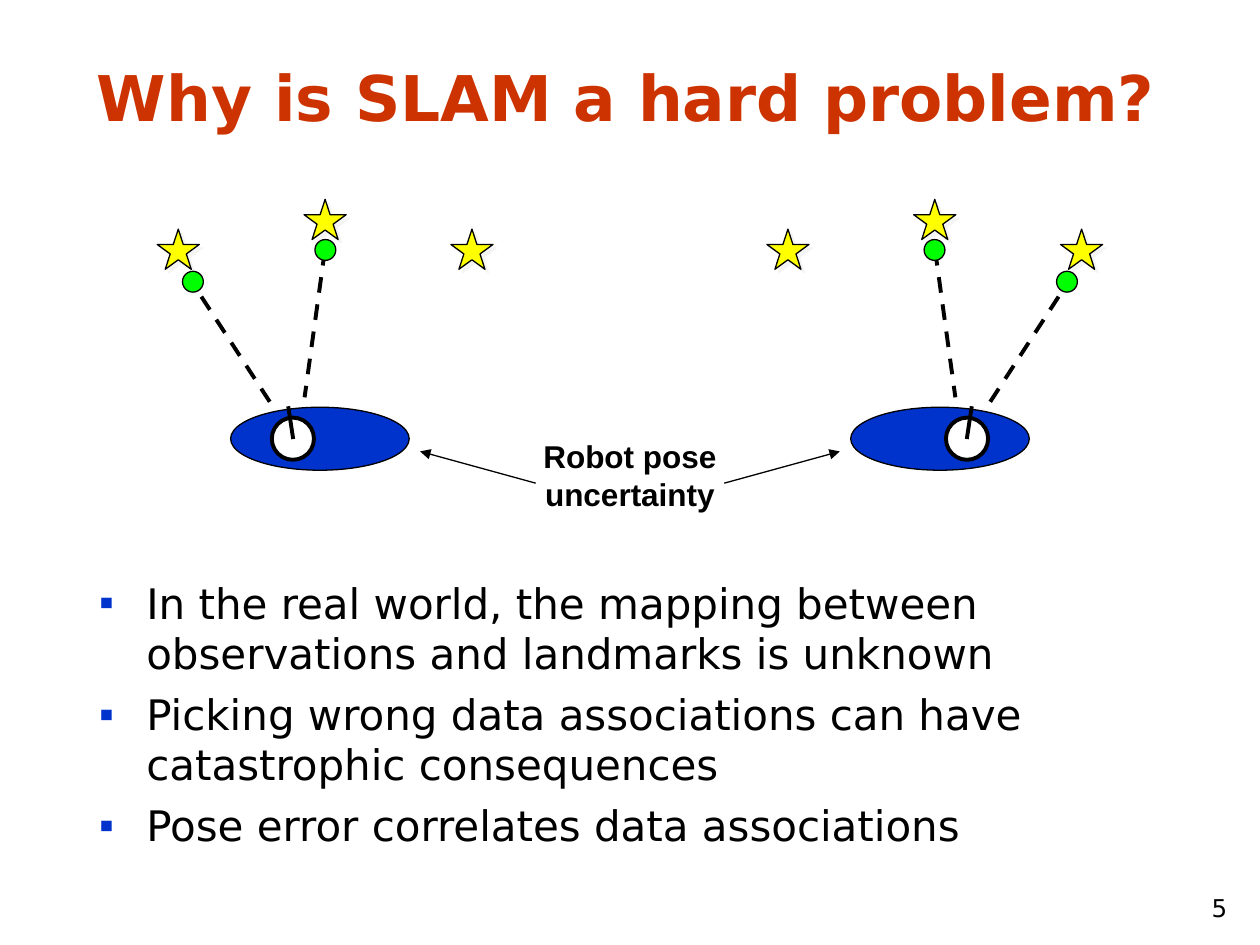
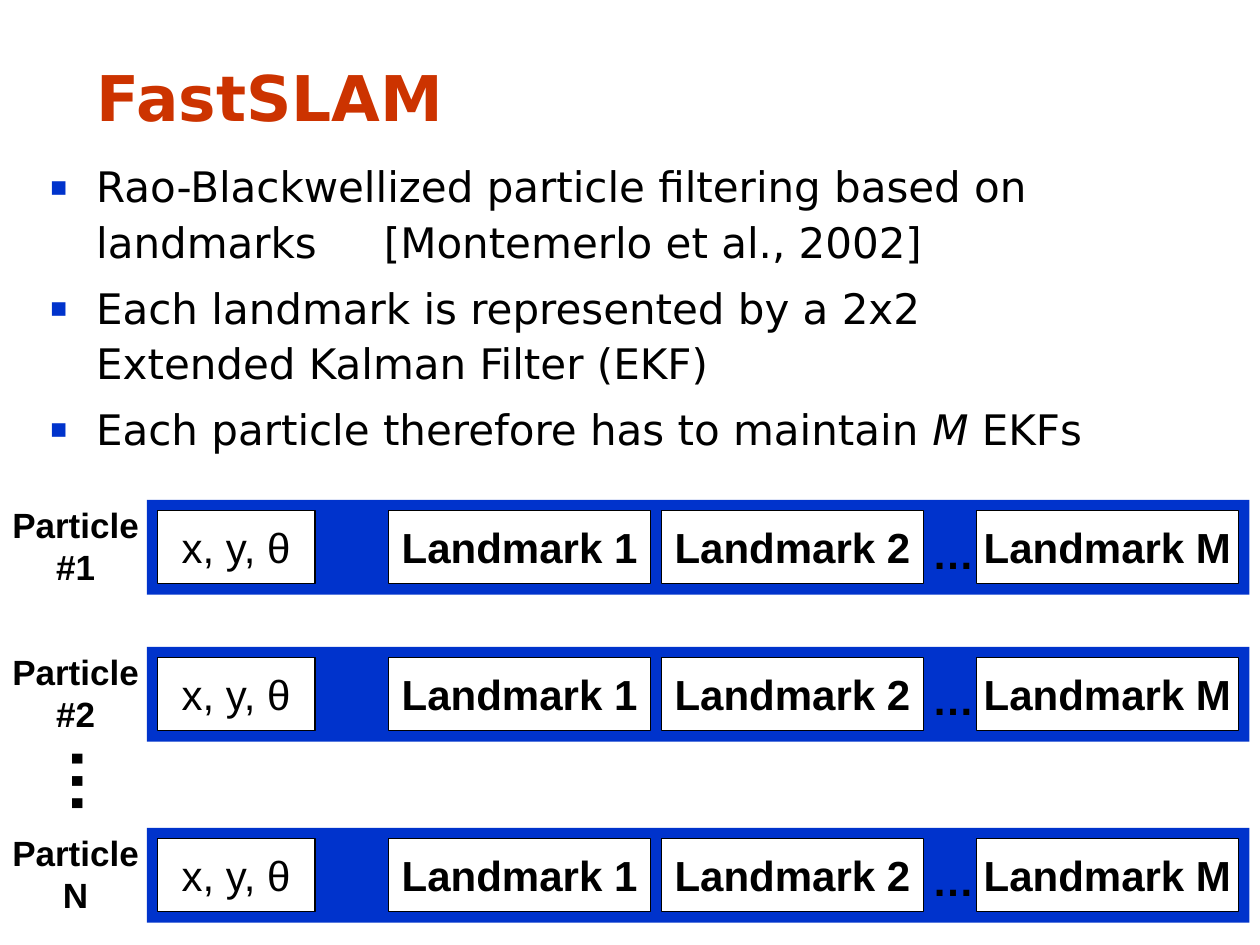
from lxml import etree
from pptx import Presentation
from pptx import util as u
from pptx.dml import color
from pptx.enum import dml, shapes, text
from pptx.oxml import ns

RED, BLUE, YELLOW, GREEN = "CC3300", "0033CC", "FFFF00", "00FF00"
BLACK, WHITE, SHADOW = "000000", "FFFFFF", "EAEAEA"
SANS, ARIAL = "DejaVu Sans", "Arial"
SLIDE_WIDTH, SLIDE_HEIGHT = 25.4, 19.05
LEFT, CENTER, RIGHT = text.PP_ALIGN.LEFT, text.PP_ALIGN.CENTER, text.PP_ALIGN.RIGHT
TOP, MIDDLE, BOTTOM = (text.MSO_ANCHOR.TOP, text.MSO_ANCHOR.MIDDLE,
                       text.MSO_ANCHOR.BOTTOM)
OVAL = shapes.MSO_SHAPE.OVAL
RECTANGLE = shapes.MSO_SHAPE.RECTANGLE
STAR = shapes.MSO_SHAPE.STAR_5_POINT


def rgb(hex_string):
    return color.RGBColor.from_string(hex_string)


def cm(*lengths):
    return [u.Cm(length) for length in lengths]


def add_element(parent, tag, **attributes):
    return etree.SubElement(parent, ns.qn(tag), attributes)


def add_run(paragraph, words, size, font=SANS, bold=False, italic=False, ink=BLACK):
    run = paragraph.add_run()
    run.text = words
    run.font.name, run.font.size = font, u.Pt(size)
    run.font.bold, run.font.italic = bold, italic
    run.font.color.rgb = rgb(ink)


def write_lines(shape, lines, size, align=CENTER, anchor=TOP, wrap=False, **style):
    """Write one paragraph per line into the shape."""
    frame = shape.text_frame
    frame.word_wrap, frame.vertical_anchor = wrap, anchor
    for index, line in enumerate(lines):
        paragraph = frame.add_paragraph() if index else frame.paragraphs[0]
        paragraph.alignment = align
        add_run(paragraph, line, size, **style)


def add_label(slide, box, lines, size, **style):
    label = slide.shapes.add_textbox(*cm(*box))
    write_lines(label, lines, size, **style)
    return label


def add_filled(parent, kind, box, fill, line=0.75):
    """Add a preset shape; a line width of 0 means no outline."""
    shape = parent.shapes.add_shape(kind, *cm(*box))
    shape.shadow.inherit = False
    shape.fill.solid()
    shape.fill.fore_color.rgb = rgb(fill)
    if line:
        shape.line.color.rgb = rgb(BLACK)
        shape.line.width = u.Pt(line)
    else:
        shape.line.fill.background()
    return shape


def add_line(parent, start, end, width, dashed=False, arrow=False):
    line = parent.shapes.add_connector(shapes.MSO_CONNECTOR.STRAIGHT,
                                       *cm(*start, *end))
    line.line.color.rgb = rgb(BLACK)
    line.line.width = u.Pt(width)
    if dashed:
        line.line.dash_style = dml.MSO_LINE.DASH
    if arrow:
        outline = line._element.spPr.find(ns.qn("a:ln"))
        add_element(outline, "a:tailEnd", type="triangle")
    add_element(line._element.spPr, "a:effectLst")


def add_titled_slide(presentation, title):
    slide = presentation.slides.add_slide(presentation.slide_layouts[5])
    shape = slide.shapes.title
    shape.left, shape.top, shape.width, shape.height = cm(1.7, 1.05, 23.4, 1.78)
    shape.text_frame.auto_size = text.MSO_AUTO_SIZE.NONE
    write_lines(shape, [title], 36, LEFT, BOTTOM, True, bold=True, ink=RED)
    return slide


def add_bullets(slide, box, items, spacing=None, bullet_percent=100, tab=None):
    """Add bulleted items, each a list of (words, italic) runs; "\\n" breaks a line."""
    frame = slide.shapes.add_textbox(*cm(*box)).text_frame
    frame.word_wrap = True
    for index, item in enumerate(items):
        paragraph = frame.add_paragraph() if index else frame.paragraphs[0]
        if index:
            paragraph.space_before = u.Pt(6)
        if spacing:
            paragraph.line_spacing = spacing
        properties = paragraph._p.get_or_add_pPr()
        indent = u.Cm(0.95)
        properties.set("marL", str(indent))
        properties.set("indent", str(-indent))
        add_element(add_element(properties, "a:buClr"), "a:srgbClr", val=BLUE)
        add_element(properties, "a:buSzPct", val=str(bullet_percent * 1000))
        add_element(properties, "a:buFont", typeface=ARIAL)
        add_element(properties, "a:buChar", char="▪")
        if tab:
            tabs = add_element(properties, "a:tabLst")
            add_element(tabs, "a:tab", pos=str(u.Cm(tab)), algn="l")
        for words, italic in item:
            if words == "\n":
                paragraph.add_line_break()
            else:
                add_run(paragraph, words, 24, italic=italic)


def add_star(parent, box):
    star = add_filled(parent, STAR, box, YELLOW)
    effects = star._element.spPr.find(ns.qn("a:effectLst"))
    shadow = add_element(effects, "a:outerShdw", dist=str(u.Pt(2.8)),
                         dir="2700000", algn="ctr", rotWithShape="0")
    tint = add_element(shadow, "a:srgbClr", val=SHADOW)
    add_element(tint, "a:alpha", val="50000")


def add_robot_scene(slide, left, top, mirrored=False):
    """Robot, its pose uncertainty, three landmarks and two observations."""
    scene_width = 6.78
    scene = slide.shapes.add_group_shape()

    def place(x, y, width, height):
        x = scene_width - x - width if mirrored else x
        return left + x, top + y, width, height

    def point(x, y):
        return place(x, y, 0, 0)[:2]

    for index, y in enumerate((0.6, 0, 0.6)):
        add_star(scene, place(index * 2.96, y, 0.85, 0.81))
    add_filled(scene, OVAL, place(1.48, 4.19, 3.6, 1.27), BLUE)
    add_filled(scene, OVAL, place(2.31, 4.4, 0.85, 0.85), WHITE, 2.25)
    add_line(scene, point(2.74, 4.83), point(2.64, 4.17), 2.25)
    add_line(scene, point(0.89, 1.96), point(2.34, 4.19), 2.25, dashed=True)
    add_line(scene, point(3.38, 1.02), point(2.97, 3.99), 2.25, dashed=True)
    for x, y in ((0.51, 1.45), (3.18, 0.81)):
        add_filled(scene, OVAL, place(x, y, 0.42, 0.42), GREEN)


def add_uncertainty_label(slide, left, top, width):
    add_label(slide, (left, top, width, 1.78), ["Robot pose", "uncertainty"], 18,
              font=ARIAL, bold=True)
    middle = left + width / 2
    for side in (-1, 1):
        add_line(slide, (middle + side * 1.9, top + 1.05),
                 (middle + side * 4.23, top + 0.41), 0.75, arrow=True)


def add_particle_row(slide, top, name):
    """Particle name beside a bar holding its pose and landmark cells."""
    bar_left = 2.96
    add_filled(slide, RECTANGLE, (bar_left, top, 22.23, 1.91), BLUE, 0)
    cells = ((0.21, 3.18, "x, y, θ", False), (4.87, 5.29, "Landmark 1", True),
             (10.37, 5.29, "Landmark 2", True), (16.72, 5.29, "Landmark M", True))
    for x, width, words, bold in cells:
        cell = add_filled(slide, RECTANGLE,
                          (bar_left + x, top + 0.21, width, 1.48), WHITE)
        write_lines(cell, [words], 24, anchor=MIDDLE, font=ARIAL, bold=bold)
    add_label(slide, (bar_left + 15.58, top + 0.42, 1.35, 1.27), ["…"], 24,
              align=LEFT, font=ARIAL, bold=True)
    label = add_label(slide, (0, top - 0.05, 3.05, 1.96), ["Particle", name], 20,
                      font=ARIAL, bold=True)
    label.text_frame.margin_left = label.text_frame.margin_right = 0


def build_hard_problem(presentation):
    slide = add_titled_slide(presentation, "Why is SLAM a hard problem?")
    add_label(slide, (23.29, 17.46, 1.7, 1.27), ["5"], 14, align=RIGHT, anchor=BOTTOM)
    items = ("In the real world, the mapping between observations and landmarks "
             "is unknown",
             "Picking wrong data associations can have catastrophic consequences",
             "Pose error correlates data associations")
    add_bullets(slide, (1.75, 11.51, 21.6, 6.1), [[(item, False)] for item in items])
    add_uncertainty_label(slide, 10.7, 8.69, 4)
    add_robot_scene(slide, 3.17, 4.02)
    add_robot_scene(slide, 15.45, 4.02, mirrored=True)


def build_fastslam(presentation):
    slide = add_titled_slide(presentation, "FastSLAM")
    items = [
        [("Rao-Blackwellized particle filtering based on landmarks\t"
          "[Montemerlo et al., 2002]", False)],
        [("Each landmark is represented by a 2x2", False), ("\n", False),
         ("Extended Kalman Filter (EKF)", False)],
        [("Each particle therefore has to maintain ", False), ("M", True),
         (" EKFs", False)],
    ]
    add_bullets(slide, (0.74, 3.02, 24.13, 8.36), items, 1.1, 130, tab=6.75)
    for top, name in ((10.08, "#1"), (13.04, "#2"), (16.69, "N")):
        add_particle_row(slide, top, name)
    dots = add_label(slide, (1.07, 14.76, 1.9, 1.96), ["…"], 40, align=LEFT,
                     font=ARIAL, bold=True)
    dots.rotation = 90


def main():
    presentation = Presentation()
    presentation.slide_width, presentation.slide_height = cm(SLIDE_WIDTH, SLIDE_HEIGHT)
    build_hard_problem(presentation)
    build_fastslam(presentation)
    presentation.save("out.pptx")


if __name__ == "__main__":
    main()
